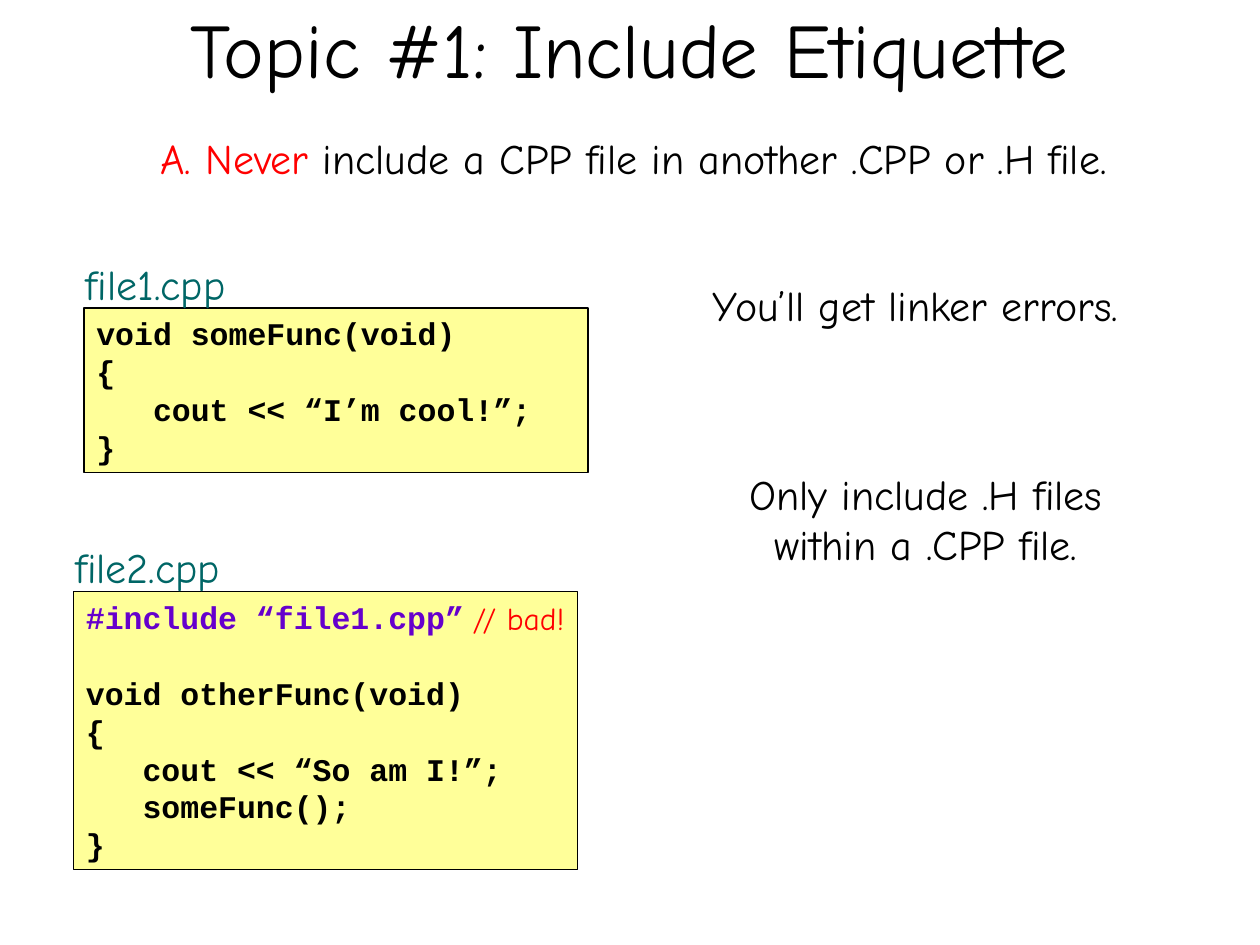
from pptx import Presentation
from pptx.dml.color import RGBColor
from pptx.enum.shapes import MSO_SHAPE
from pptx.enum.text import MSO_ANCHOR, PP_ALIGN
from pptx.util import Pt

RECT = MSO_SHAPE.RECTANGLE
TOP, MIDDLE = MSO_ANCHOR.TOP, MSO_ANCHOR.MIDDLE
LEFT, CENTER = PP_ALIGN.LEFT, PP_ALIGN.CENTER
HAND, MONO = "Comic Neue", "Courier New"
COLORS = {
    "black": "000000",
    "red": "FF0000",
    "teal": "006666",
    "purple": "6600CC",
    "yellow": "FFFF99",
}


def color(name):
    return RGBColor.from_string(COLORS[name])


def add_text(slide, box, runs, size=24, align=CENTER, anchor=TOP):
    """Add one paragraph made of (text, color name) runs."""
    frame = slide.shapes.add_textbox(*map(Pt, box)).text_frame
    frame.word_wrap = True
    frame.vertical_anchor = anchor
    para = frame.paragraphs[0]
    para.alignment = align
    para.font.name, para.font.size = HAND, Pt(size)
    for text, tint in runs:
        run = para.add_run()
        run.text = text
        run.font.color.rgb = color(tint)


def add_file(slide, name, left, top, height, lines):
    """Add a code box with its file name above; lines are (text, color, gap after)."""
    box = slide.shapes.add_shape(RECT, Pt(left), Pt(top), Pt(288), Pt(height))
    box.shadow.inherit = False
    box.fill.solid()
    box.fill.fore_color.rgb = color("yellow")
    box.line.color.rgb = color("black")
    box.line.width = Pt(0.75)
    frame = box.text_frame
    frame.word_wrap = True
    frame.vertical_anchor = TOP
    for i, (text, tint, gap) in enumerate(lines):
        para = frame.add_paragraph() if i else frame.paragraphs[0]
        para.text = text
        para.alignment = LEFT
        para.space_after = Pt(gap)
        font = para.font
        font.name, font.size, font.bold = MONO, Pt(18), True
        font.color.rgb = color(tint)
    add_text(slide, (left - 6, top - 32, 112, 36), [(name, "teal")], align=LEFT)


def code(*lines):
    return [(line, "black", 0) for line in lines]


def main():
    deck = Presentation()
    deck.slide_width, deck.slide_height = Pt(720), Pt(540)
    slide = deck.slides.add_slide(deck.slide_layouts[6])

    add_text(slide, (54, -18, 612, 90),
             [("Topic #1: Include Etiquette", "black")], 44, anchor=MIDDLE)
    add_text(slide, (62.5, 72, 599, 36),
             [("A. Never ", "red"),
              ("include a CPP file in another .CPP or .H file.", "black")])

    add_file(slide, "file1.cpp", 48, 176, 94,
             code("void someFunc(void)", "{", "   cout << “I’m cool!”;", "}"))
    add_file(slide, "file2.cpp", 42, 338, 159,
             [("#include “file1.cpp”", "purple", 22)]
             + code("void otherFunc(void)", "{", "   cout << “So am I!”;",
                    "   someFunc();", "}"))

    add_text(slide, (396, 156, 254, 65), [("You’ll get linker errors.", "black")])
    add_text(slide, (402, 264, 254, 65),
             [("Only include .H files within a .CPP file.", "black")])
    add_text(slide, (263, 338.5, 73, 29), [("// bad!", "red")], 18, LEFT)
    deck.save("out.pptx")


if __name__ == "__main__":
    main()
